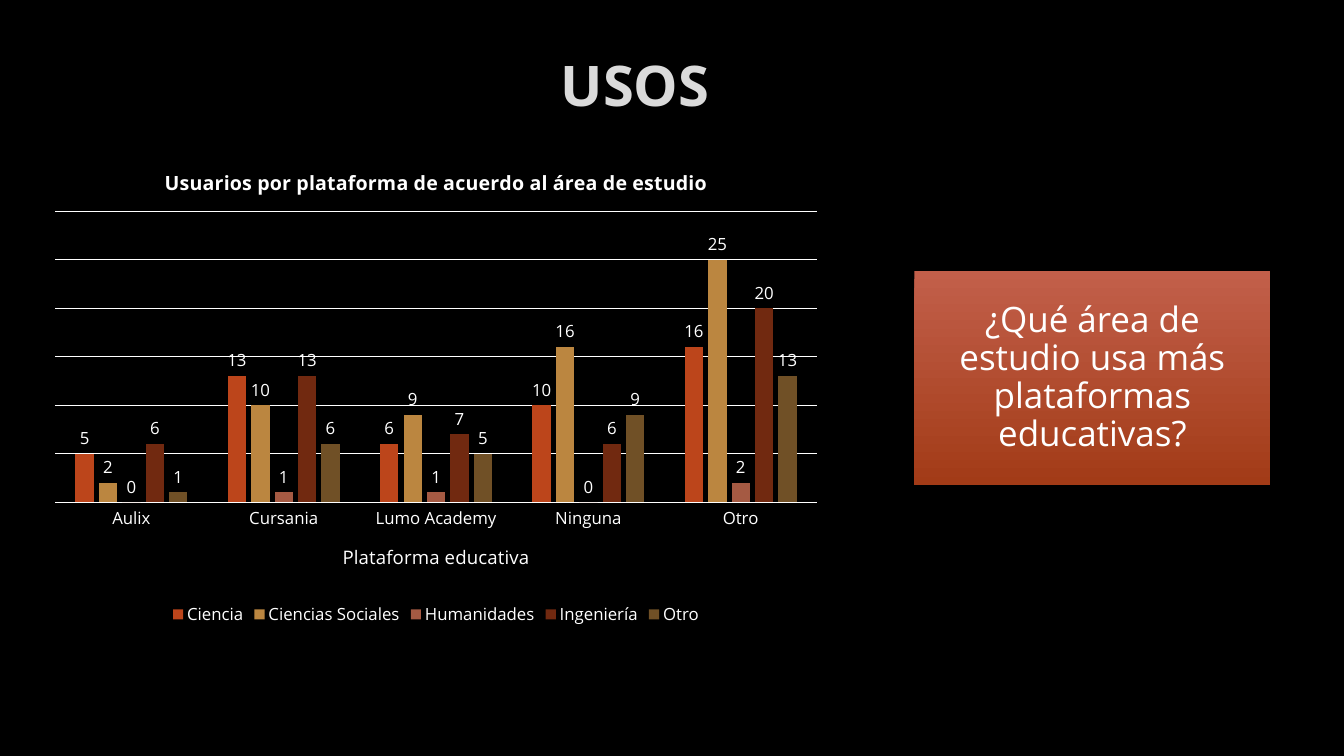
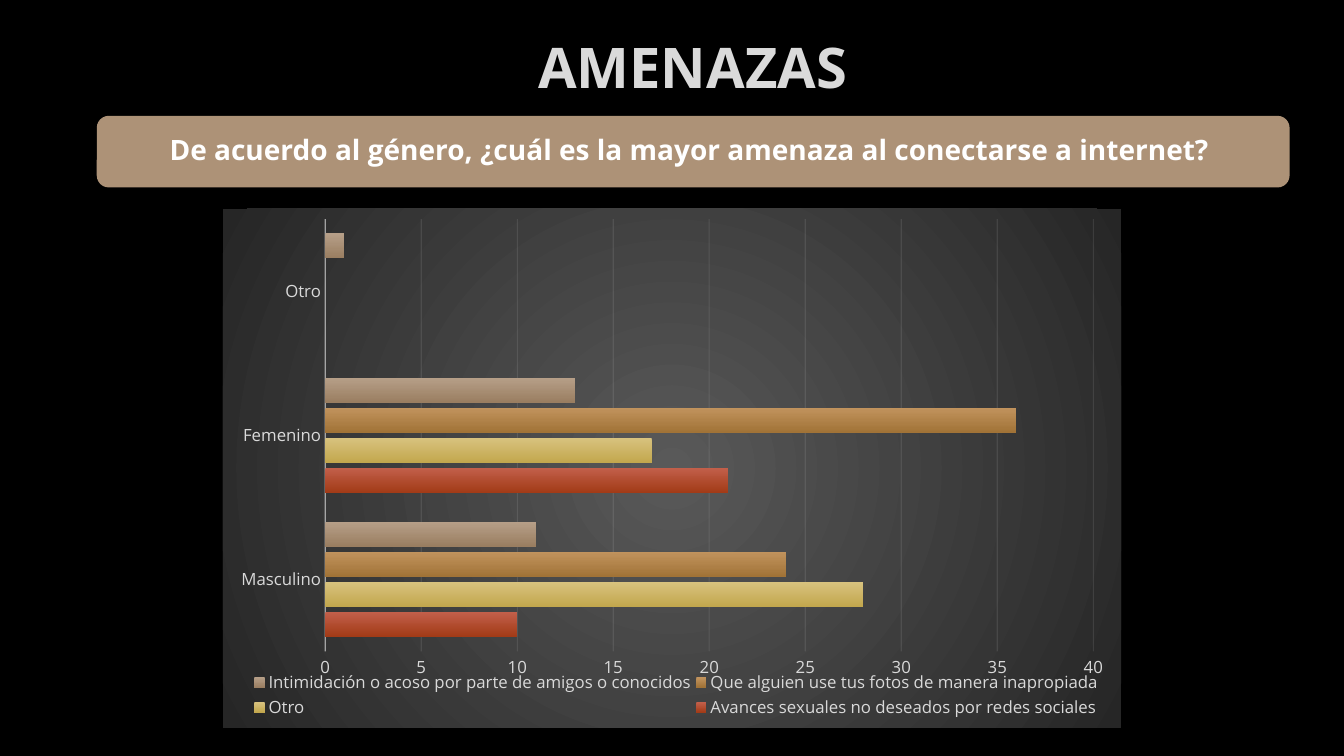
from lxml import etree
from pptx import Presentation, util as u
from pptx.chart.data import CategoryChartData
from pptx.dml.color import RGBColor
from pptx.enum import chart as ch, shapes, text
from pptx.oxml import parse_xml
from pptx.oxml.ns import nsdecls, qn

FONT = "Open Sans"
COLORS = {
    "back": "000000", "white": "FFFFFF", "title": "DADADA", "outline": "404040",
    "label": "D9D9D9", "rule": "F2F2F2", "banner": "AD9277",
    "glow": "595959", "edge": "262626",
    "ciencia": "BC451B", "sociales": "BB8640", "humanidades": "A55A43",
    "ingenieria": "712910", "otro": "705026",
}
GRADIENTS = {
    "red": ("C25F4A", "A23B17"), "yellow": ("D8C27E", "C2A74D"),
    "orange": ("C1935D", "A17337"), "tan": ("B69F88", "9A7E61"),
}
USES = {
    "Ciencia": ("ciencia", (5, 13, 6, 10, 16)),
    "Ciencias Sociales": ("sociales", (2, 10, 9, 16, 25)),
    "Humanidades": ("humanidades", (0, 1, 1, 0, 2)),
    "Ingeniería": ("ingenieria", (6, 13, 7, 6, 20)),
    "Otro": ("otro", (1, 6, 5, 9, 13)),
}
THREATS = {
    "Avances sexuales no deseados por redes sociales": ("red", (10, 21, 0)),
    "Otro": ("yellow", (28, 17, 0)),
    "Que alguien use tus fotos de manera inapropiada": ("orange", (24, 36, 0)),
    "Intimidación o acoso por parte de amigos o conocidos": ("tan", (11, 13, 1)),
}

prs = Presentation()
prs.slide_width, prs.slide_height = u.Inches(13.33), u.Inches(7.5)


def rgb(name):
    """Return a named colour."""
    return RGBColor.from_string(COLORS[name])


def place(x, y, w, h):
    """Turn percentages of the slide into a left, top, width, height box."""
    sides = (prs.slide_width, prs.slide_height) * 2
    return [int(side * share / 100) for side, share in zip(sides, (x, y, w, h))]


def paint(fill, name):
    """Fill with a plain colour or a downward gradient."""
    if name in COLORS:
        fill.solid()
        fill.fore_color.rgb = rgb(name)
        return
    fill.gradient()
    fill.gradient_angle = 270
    for stop, position, color in zip(fill.gradient_stops, (0, 1), GRADIENTS[name]):
        stop.position = position
        stop.color.rgb = RGBColor.from_string(color)


def style_font(font, size, color, bold=False):
    """Set the shared typeface with a size, colour and weight."""
    font.name, font.size, font.bold = FONT, u.Pt(size), bold
    font.color.rgb = rgb(color)


def style_line(line, color, width, opacity=100):
    """Set the colour, width and opacity of a line."""
    line.width = u.Pt(width)
    line.color.rgb = rgb(color)
    if opacity < 100:
        srgb = line.fill._xPr.find(".//" + qn("a:srgbClr"))
        etree.SubElement(srgb, qn("a:alpha")).set("val", str(opacity * 1000))


def add_title(s, box, words):
    """Place the slide title with its faint outline."""
    sp = s.shapes.title
    sp.left, sp.top, sp.width, sp.height = box
    tf = sp.text_frame
    tf.text = words
    tf.auto_size = text.MSO_AUTO_SIZE.NONE
    tf.vertical_anchor = text.MSO_ANCHOR.MIDDLE
    p = tf.paragraphs[0]
    p.alignment = text.PP_ALIGN.CENTER
    r = p.runs[0]
    style_font(r.font, 40, "title", True)
    r._r.get_or_add_rPr().insert(0, parse_xml(
        f'<a:ln {nsdecls("a")} w="9525"><a:solidFill><a:srgbClr val="{COLORS["outline"]}">'
        '<a:alpha val="10000"/></a:srgbClr></a:solidFill></a:ln>'))


def add_question(s, box, kind, fill, words, size, bold=False):
    """Place a filled panel holding a centred question."""
    sp = s.shapes.add_shape(kind, *box)
    sp.shadow.inherit = False
    paint(sp.fill, fill)
    sp.line.fill.background()
    tf = sp.text_frame
    tf.text = words
    tf.word_wrap = True
    tf.vertical_anchor = text.MSO_ANCHOR.MIDDLE
    tf.margin_left = tf.margin_right = tf.margin_top = tf.margin_bottom = u.Inches(0.1)
    p = tf.paragraphs[0]
    p.alignment = text.PP_ALIGN.CENTER
    p.line_spacing = 0.9
    style_font(p.runs[0].font, size, "white", bold)


def set_layout(parent, inner=False, **percents):
    """Pin a chart part at percentages of the chart's size."""
    layout = parent.find(qn("c:layout"))
    if layout is None:
        layout = etree.Element(qn("c:layout"))
        parent.insert(0, layout)
    manual = etree.SubElement(layout, qn("c:manualLayout"))
    values = {"layoutTarget": "inner"} if inner else {}
    values.update(xMode="edge", yMode="edge")
    values.update({tag: round(value / 100, 4) for tag, value in percents.items()})
    for tag, value in values.items():
        etree.SubElement(manual, qn("c:" + tag)).set("val", str(value))


def set_heading(owner, words, size, bold, x, y):
    """Write a chart or axis title at a fixed spot."""
    p = owner.text_frame.paragraphs[0]
    p.text = words
    style_font(p.runs[0].font, size, "white", bold)
    set_layout(owner._element, x=x, y=y)


def add_bars(s, box, kind, cats, series, color, gap, overlap, top, plot_area):
    """Place a clustered chart with its shared axes, legend and bars."""
    data = CategoryChartData()
    data.categories = cats
    for name, (_, values) in series.items():
        data.add_series(name, values)
    chart = s.shapes.add_chart(kind, *box, data).chart
    chart.has_title = False
    style_font(chart.font, 12, color)
    chart.has_legend = True
    chart.legend.position = ch.XL_LEGEND_POSITION.BOTTOM
    chart.legend.include_in_layout = False
    style_font(chart.legend.font, 12, color)
    plot = chart.plots[0]
    plot.gap_width, plot.overlap, plot.vary_by_categories = gap, overlap, False
    for bars, (fill, _) in zip(plot.series, series.values()):
        paint(bars.format.fill, fill)
        bars.invert_if_negative = False
    for axis in (chart.category_axis, chart.value_axis):
        axis.major_tick_mark = axis.minor_tick_mark = ch.XL_TICK_MARK.NONE
        style_font(axis.tick_labels.font, 12, color)
    axis = chart.value_axis
    axis.minimum_scale, axis.maximum_scale, axis.major_unit = 0, top, 5
    axis.format.line.fill.background()
    set_layout(chart._chartSpace.chart.plotArea, True, **plot_area)
    return chart


def add_uses_chart(s, box):
    """Place the labelled columns of users by platform."""
    chart = add_bars(
        s, box, ch.XL_CHART_TYPE.COLUMN_CLUSTERED,
        ("Aulix", "Cursania", "Lumo Academy", "Ninguna", "Otro"), USES,
        "white", 219, -27, 30, dict(x=2, y=13.1, w=96, h=60.4))
    chart.has_title = True
    set_heading(chart.chart_title, "Usuarios por plataforma de acuerdo al área de estudio",
                14, True, 15.35, 3.15)
    axis = chart.category_axis
    style_line(axis.format.line, "white", 0.75)
    set_heading(axis.axis_title, "Plataforma educativa", 13.3, False, 37.8, 81.1)
    chart.value_axis.visible = False
    style_line(chart.value_axis.major_gridlines.format.line, "white", 0.75)
    for bars in chart.plots[0].series:
        labels = bars.data_labels
        labels.show_value = True
        labels.position = ch.XL_LABEL_POSITION.OUTSIDE_END
        style_font(labels.font, 12, "white")


def add_threats_chart(s, box):
    """Place the bars of threats by gender on a glowing panel."""
    chart = add_bars(
        s, box, ch.XL_CHART_TYPE.BAR_CLUSTERED,
        ("Masculino", "Femenino", "Otro"), THREATS,
        "label", 115, -20, 40, dict(x=11.4, y=2, w=85.5, h=83.3))
    set_layout_after_position(chart.legend, x=3, y=88.7, w=95, h=10)
    style_line(chart.category_axis.format.line, "rule", 1, 54)
    style_line(chart.value_axis.major_gridlines.format.line, "rule", 0.75, 10)
    stops = "".join(
        f'<a:gs pos="{pos}"><a:srgbClr val="{COLORS[name]}"/></a:gs>'
        for pos, name in ((0, "glow"), (100000, "edge")))
    chart._chartSpace.chart.addnext(parse_xml(
        f'<c:spPr {nsdecls("c", "a")}><a:gradFill><a:gsLst>{stops}</a:gsLst>'
        '<a:path path="circle"><a:fillToRect l="50000" t="50000" r="50000" b="50000"/>'
        '</a:path></a:gradFill><a:ln><a:noFill/></a:ln></c:spPr>'))


def set_layout_after_position(legend, **percents):
    """Pin the legend, keeping its layout right after its position."""
    element = legend._element
    if element.find(qn("c:layout")) is None:
        element.find(qn("c:legendPos")).addnext(etree.Element(qn("c:layout")))
    set_layout(element, **percents)


def new_slide(title, x, y):
    """Start a title-only slide with its title at the given shares."""
    s = prs.slides.add_slide(prs.slide_layouts[5])
    add_title(s, place(x, y, 84.9, 14.13), title)
    return s


def uses_slide():
    """Build the slide on platform use."""
    s = new_slide("USOS", 4.8, 4)
    add_question(s, place(68.04, 35.87, 26.48, 28.27), shapes.MSO_SHAPE.RECTANGLE, "red",
                 "¿Qué área de estudio usa más plataformas educativas?", 25)
    add_uses_chart(s, place(2.93, 19.6, 59.04, 63.73))


def threats_slide():
    """Build the slide on threats by gender."""
    s = new_slide("AMENAZAS", 9.08, 1.73)
    add_question(s, place(7.2, 15.33, 88.75, 9.47), shapes.MSO_SHAPE.ROUNDED_RECTANGLE, "banner",
                 "De acuerdo al género, ¿cuál es la mayor amenaza al conectarse a internet? ", 20, True)
    add_threats_chart(s, place(16.58, 27.6, 66.84, 68.67))


paint(prs.slide_master.background.fill, "back")
uses_slide()
threats_slide()
prs.save("out.pptx")
